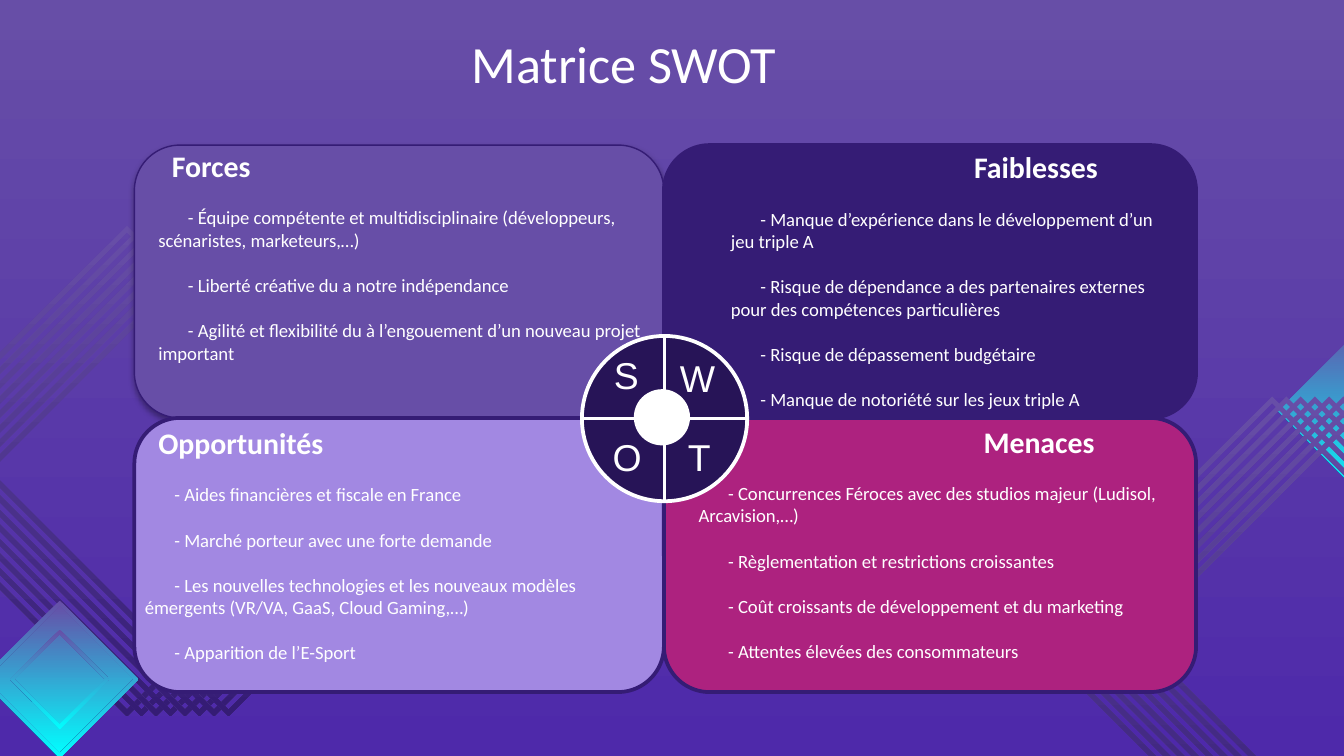
from dataclasses import dataclass

from lxml.etree import SubElement
from pptx import Presentation
from pptx.dml.color import RGBColor
from pptx.enum.shapes import MSO_CONNECTOR as Connector, MSO_SHAPE as Shape
from pptx.enum.text import MSO_ANCHOR as Anchor
from pptx.oxml.ns import qn
from pptx.util import Inches, Pt

# Grid: 100 columns across the slide, square cells
WIDTH, HEIGHT = Inches(10), Inches(10 * 9 / 16)
CELL = WIDTH / 100


@dataclass(frozen=True)
class Theme:
    white: str = "FFFFFF"
    violet: str = "674EA7"
    indigo: str = "351C75"
    floor: str = "4E29AA"
    cyan: str = "00FFFF"
    lilac: str = "A288E2"
    magenta: str = "AD227F"
    hub: str = "271457"
    shade: str = "000000"
    body_font: str = "Calibri"
    letter_font: str = "Arial"
    title_size: float = 28
    letter_size: float = 20
    heading_size: float = 16
    body_size: float = 10
    gap: float = 12.2


THEME = Theme()


@dataclass(frozen=True)
class Box:
    left: float
    top: float
    width: float
    height: float

    def inner(self, left, top, width, height):
        return Box(self.left + left, self.top + top, width, height)

    def emu(self):
        return [cells(v) for v in (self.left, self.top, self.width, self.height)]


def cells(count):
    return round(count * CELL)


def rgb(colour):
    return RGBColor.from_string(colour)


def vertical_gradient(fill, top, bottom):
    fill.gradient()
    fill.gradient_angle = 270
    for stop, colour in zip(fill.gradient_stops, (top, bottom)):
        stop.color.rgb = rgb(colour)


def add_run(paragraph, words, size, font, bold=False):
    run = paragraph.add_run()
    run.text = words
    run.font.size, run.font.name, run.font.bold = Pt(size), font, bold
    run.font.color.rgb = rgb(THEME.white)


def add_text_frame(slide, box, inset=0.5):
    frame = slide.shapes.add_textbox(*box.emu()).text_frame
    frame.word_wrap = True
    frame.vertical_anchor = Anchor.TOP
    frame.margin_top = frame.margin_bottom = cells(inset)
    frame.margin_left = frame.margin_right = cells(1)
    return frame


def add_solid(slide, kind, box, colour, outline, weight=2):
    solid = slide.shapes.add_shape(kind, *box.emu())
    solid.shadow.inherit = False
    solid.fill.solid()
    solid.fill.fore_color.rgb = rgb(colour)
    solid.line.color.rgb = rgb(outline)
    solid.line.width = Pt(weight)
    return solid


def add_diamond(slide, box, bottom, band=0):
    """Diamond filling the box; a band above 0 leaves only a frame."""
    x, y = box.left + box.width / 2, box.top + box.height / 2
    radius = box.width / 2

    def corners(r, turn):
        return [(cells(x + dx * r), cells(y + dy * r))
                for dx, dy in ((0, turn), (-1, 0), (0, -turn), (1, 0))]

    outer = corners(radius, 1)
    outline = slide.shapes.build_freeform(*outer[0], scale=1)
    outline.add_line_segments(outer[1:], close=True)
    if band:
        hole = corners(radius - band, -1)
        outline.move_to(*hole[0])
        outline.add_line_segments(hole[1:], close=True)
    diamond = outline.convert_to_shape()
    diamond.shadow.inherit = False
    vertical_gradient(diamond.fill, THEME.violet, bottom)
    diamond.line.fill.background()


# Background stripes: eight nested frames stepping to the right
def draw_stripes(slide, box, step):
    for i in range(8):
        add_diamond(slide, box.inner(i * step, 0, box.width, box.height),
                    THEME.indigo, band=0.5)


def draw_backdrop(slide):
    vertical_gradient(slide.background.fill, THEME.violet, THEME.floor)
    draw_stripes(slide, Box(-8.8, 16.8, 36.5, 36.5), 1.08)
    gem = Box(-1.4, 44.7, 11.7, 11.7)
    add_diamond(slide, gem.inner(0.2, 0.2, 11.3, 11.3), THEME.cyan)
    add_diamond(slide, gem, THEME.cyan, band=0.35)
    add_diamond(slide, gem.inner(2.15, 2.15, 7.4, 7.4), THEME.cyan, band=0.35)
    add_diamond(slide, Box(95.1, 23.7, 13.8, 13.8), THEME.cyan)
    draw_stripes(slide, Box(76.7, 29.5, 35.9, 35.9), 1.06)


def draw_title(slide, box):
    frame = add_text_frame(slide, box, inset=1.2)
    add_run(frame.paragraphs[0], "Matrice SWOT", THEME.title_size, THEME.body_font)


def add_soft_shadow(card):
    effects = card._element.spPr.find(qn("a:effectLst"))
    shadow = SubElement(effects, qn("a:outerShdw"), blurRad=str(Pt(3.1)),
                        dist=str(Pt(1.8)), dir="5400000", rotWithShape="0")
    colour = SubElement(shadow, qn("a:srgbClr"), val=THEME.shade)
    SubElement(colour, qn("a:alpha"), val="35000")


def draw_card(slide, box, colour, raised):
    card = add_solid(slide, Shape.ROUNDED_RECTANGLE, box, colour,
                     THEME.indigo, 0.75 if raised else 2)
    card.adjustments[0] = 0.167
    if raised:
        add_soft_shadow(card)


# Heading and dashed points of one quadrant
def draw_points(slide, box, heading, heading_indent, points):
    frame = add_text_frame(slide, box)
    first = frame.paragraphs[0]
    first._p.get_or_add_pPr().set("marL", str(cells(heading_indent)))
    add_run(first, heading, THEME.heading_size, THEME.body_font, bold=True)
    for point in points:
        paragraph = frame.add_paragraph()
        paragraph.space_before = Pt(THEME.gap)
        paragraph._p.get_or_add_pPr().set("indent", str(cells(2.2)))
        add_run(paragraph, f"- {point}", THEME.body_size, THEME.body_font)


# Central wheel with the four initials
def draw_wheel(slide, box):
    size, middle = box.width, box.width / 2
    add_solid(slide, Shape.OVAL, box, THEME.hub, THEME.white)
    add_solid(slide, Shape.OVAL, box.inner(4, 4.1, 3.9, 3.9), THEME.white, THEME.white)
    for letter, x, y in (("S", 1.4, 0.7), ("W", 6.3, 0.9),
                         ("O", 1.3, 6.8), ("T", 6.9, 6.8)):
        frame = add_text_frame(slide, box.inner(x, y, 5.7, 4.4))
        add_run(frame.paragraphs[0], letter, THEME.letter_size, THEME.letter_font)
    for x1, y1, x2, y2 in ((0, middle, size, middle), (middle, size, middle, 0)):
        spoke = slide.shapes.add_connector(
            Connector.STRAIGHT, cells(box.left + x1), cells(box.top + y1),
            cells(box.left + x2), cells(box.top + y2))
        spoke.line.color.rgb = rgb(THEME.white)
        spoke.line.width = Pt(1.5)
        SubElement(spoke._element.spPr, qn("a:effectLst"))


# Card box, card colour, text box, heading, heading indent, points
QUADRANTS = (
    (Box(10, 10.8, 39.4, 20.3), THEME.violet, Box(10.8, 10.5, 39.4, 17.2), "Forces", 1,
     ("Équipe compétente et multidisciplinaire (développeurs, scénaristes, marketeurs,…)",
      "Liberté créative du a notre indépendance",
      "Agilité et flexibilité du à l’engouement d’un nouveau projet important")),
    (Box(49.4, 10.8, 39.6, 20.3), THEME.indigo, Box(53.4, 10.6, 35, 20.5), "Faiblesses", 18.1,
     ("Manque d’expérience dans le développement d’un jeu triple A",
      "Risque de dépendance a des partenaires externes pour des compétences particulières",
      "Risque de dépassement budgétaire",
      "Manque de notoriété sur les jeux triple A")),
    (Box(10, 31.1, 39.4, 20.4), THEME.lilac, Box(9.8, 31.1, 39.4, 18.8), "Opportunités", 1,
     ("Aides financières et fiscale en France",
      "Marché porteur avec une forte demande",
      "Les nouvelles technologies et les nouveaux modèles émergents "
      "(VR/VA, GaaS, Cloud Gaming,…)",
      "Apparition de l’E-Sport")),
    (Box(49.4, 31.1, 39.6, 20.4), THEME.magenta, Box(51, 31, 37, 20.5), "Menaces", 21.2,
     ("Concurrences Féroces avec des studios majeur (Ludisol, Arcavision,…)",
      "Règlementation et restrictions croissantes",
      "Coût croissants de développement et du marketing",
      "Attentes élevées des consommateurs")),
)


def main():
    deck = Presentation()
    deck.slide_width, deck.slide_height = WIDTH, HEIGHT
    slide = deck.slides.add_slide(deck.slide_layouts[6])
    draw_backdrop(slide)
    draw_title(slide, Box(34.1, 1.1, 36.8, 6.3))
    for index, (card, colour, *_) in enumerate(QUADRANTS):
        draw_card(slide, card, colour, raised=index == 0)
    draw_wheel(slide, Box(43.3, 25, 12.3, 12.3))
    for _, _, *points in QUADRANTS:
        draw_points(slide, *points)
    deck.save("out.pptx")


if __name__ == "__main__":
    main()
